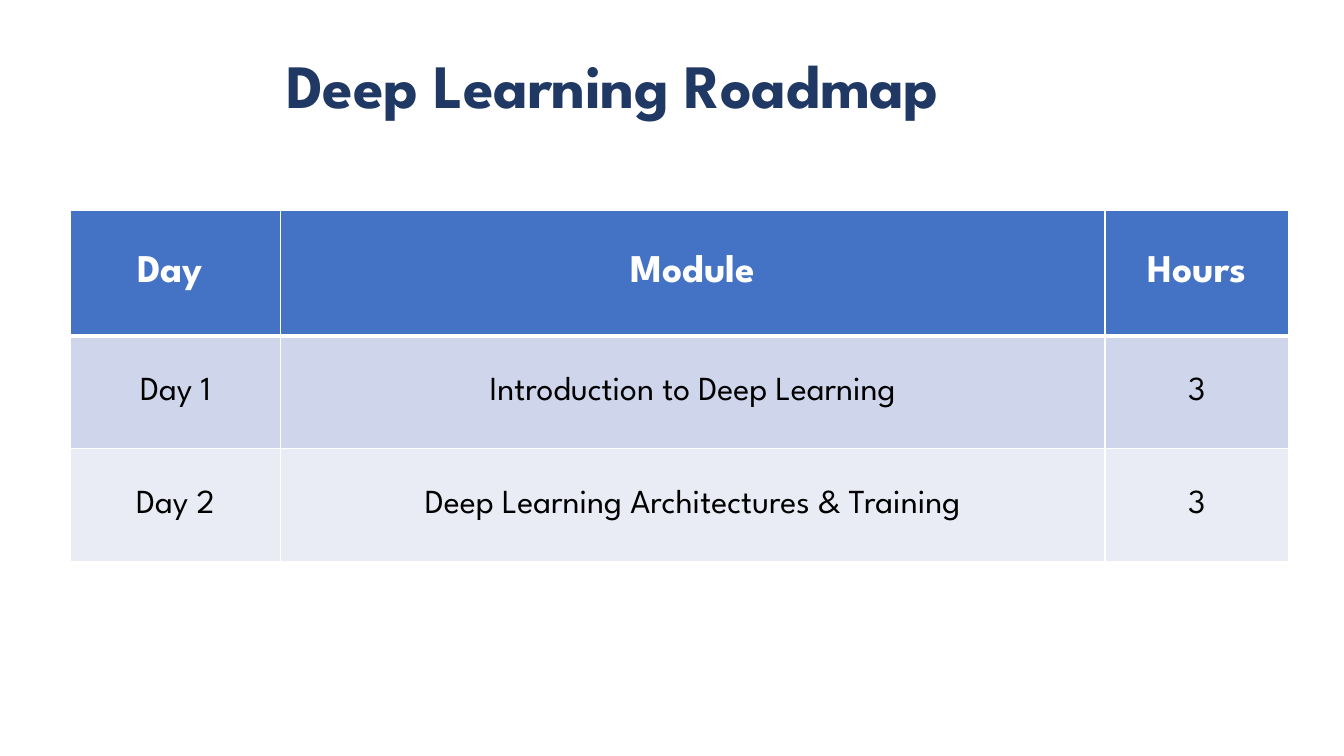
from lxml import etree
from pptx import Presentation
from pptx.dml.color import RGBColor
from pptx.enum.text import MSO_ANCHOR, PP_ALIGN
from pptx.oxml.ns import qn
from pptx.util import Inches, Pt

MIDDLE = MSO_ANCHOR.MIDDLE
LEFT = PP_ALIGN.LEFT
CENTER = PP_ALIGN.CENTER

FONT = "League Spartan"
WHITE = "FFFFFF"
BLACK = "000000"
NAVY = "203864"
HEADER_BLUE = "4472C4"
BAND_FILLS = ["CFD5EA", "E9EBF5"]

COLUMN_WIDTHS = [2.08, 8.18, 1.82]
ROW_HEIGHTS = [1.24, 1.12, 1.12]
ROADMAP = [
    ["Day ", "Module", "Hours"],
    ["Day 1", "Introduction to Deep Learning", "3"],
    ["Day 2", "Deep Learning Architectures & Training", "3"],
]


def color(hex_value):
    return RGBColor.from_string(hex_value)


def write(paragraph, wording, size, hex_value, bold, alignment):
    paragraph.alignment = alignment
    run = paragraph.add_run()
    run.text = wording
    for attribute, value in {"name": FONT, "size": Pt(size), "bold": bold}.items():
        setattr(run.font, attribute, value)
    run.font.color.rgb = color(hex_value)
    return run


def add_heading(slide, left, top, width, height):
    heading = slide.shapes.add_textbox(
        Inches(left), Inches(top), Inches(width), Inches(height)
    )
    frame = heading.text_frame
    frame_format = {
        "word_wrap": True,
        "vertical_anchor": MIDDLE,
        "margin_left": 0,
        "margin_right": 0,
        "margin_top": Inches(0.01),
        "margin_bottom": 0,
    }
    for attribute, value in frame_format.items():
        setattr(frame, attribute, value)
    paragraph = frame.paragraphs[0]
    paragraph.line_spacing = 0.9
    paragraph.space_before = Pt(1)
    run = write(paragraph, "Deep Learning Roadmap", 44, NAVY, True, LEFT)
    run.font._element.set("spc", "-30")


def set_borders(cell, widths):
    properties = cell._tc.get_or_add_tcPr()
    for position, (side, width) in enumerate(widths.items()):
        line = etree.Element(qn(f"a:ln{side}"), w=str(Pt(width)))
        fill = etree.SubElement(line, qn("a:solidFill"))
        etree.SubElement(fill, qn("a:srgbClr"), val=WHITE)
        properties.insert(position, line)


def add_roadmap(slide, left, top, width, height):
    table = slide.shapes.add_table(
        len(ROADMAP), len(COLUMN_WIDTHS),
        Inches(left), Inches(top), Inches(width), Inches(height),
    ).table
    for column, column_width in zip(table.columns, COLUMN_WIDTHS):
        column.width = Inches(column_width)
    for row_index, entries in enumerate(ROADMAP):
        table.rows[row_index].height = Inches(ROW_HEIGHTS[row_index])
        is_header = row_index == 0
        fill = HEADER_BLUE if is_header else BAND_FILLS[(row_index - 1) % 2]
        size, text_color = (28, WHITE) if is_header else (24, BLACK)
        borders = {
            "L": 1,
            "R": 1,
            "T": 3 if row_index == 1 else 1,
            "B": 3 if is_header else 1,
        }
        for column_index, entry in enumerate(entries):
            cell = table.cell(row_index, column_index)
            cell.vertical_anchor = MIDDLE
            cell.fill.solid()
            cell.fill.fore_color.rgb = color(fill)
            set_borders(cell, borders)
            write(cell.text_frame.paragraphs[0], entry, size, text_color, is_header, CENTER)


def main():
    presentation = Presentation()
    presentation.slide_width = Inches(13.33)
    presentation.slide_height = Inches(7.5)
    slide = presentation.slides.add_slide(presentation.slide_layouts[6])
    slide.background.fill.solid()
    slide.background.fill.fore_color.rgb = color(WHITE)
    add_heading(slide, 2.84, 0.52, 7.17, 0.7)
    add_roadmap(slide, 0.7, 2.09, sum(COLUMN_WIDTHS), sum(ROW_HEIGHTS))
    presentation.save("out.pptx")


if __name__ == "__main__":
    main()
